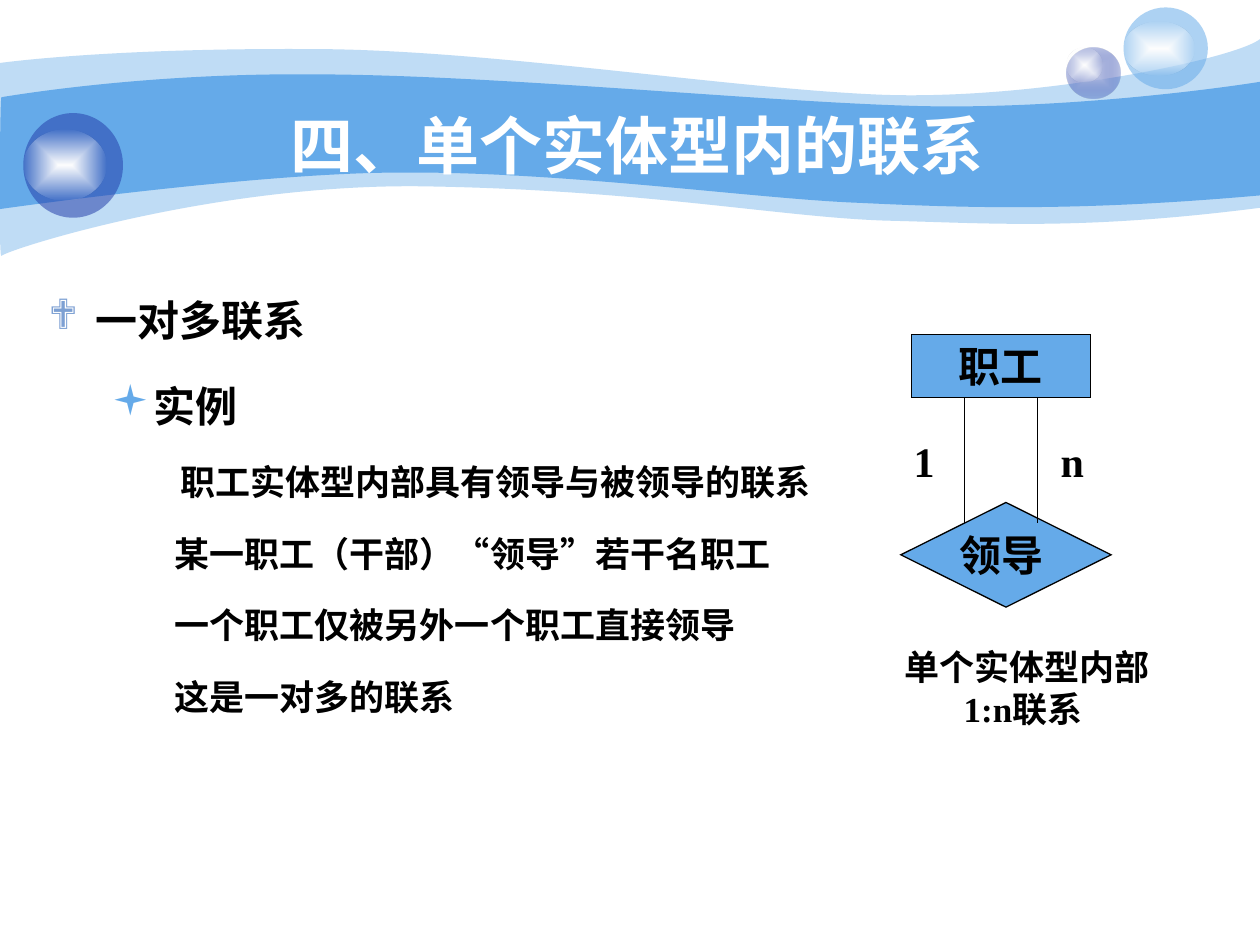
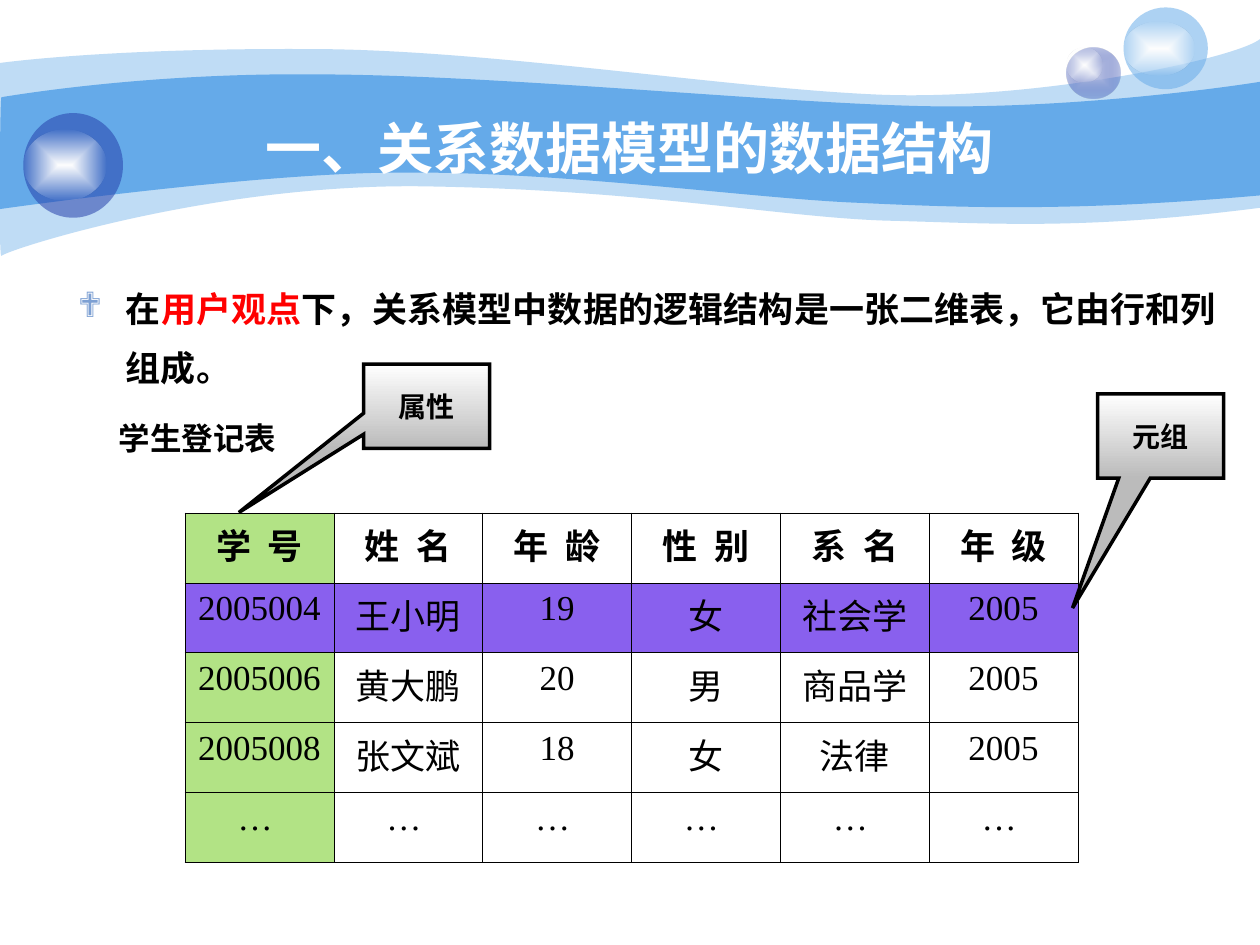
from dataclasses import dataclass
from typing import Any, NamedTuple

from lxml import etree
from pptx import Presentation
from pptx.dml.color import RGBColor
from pptx.enum.shapes import MSO_CONNECTOR, MSO_SHAPE
from pptx.enum.text import MSO_ANCHOR, PP_ALIGN
from pptx.oxml.ns import qn
from pptx.util import Cm, Pt

CENTER, LEFT, JUSTIFY = PP_ALIGN.CENTER, PP_ALIGN.LEFT, PP_ALIGN.JUSTIFY
TOP, MIDDLE = MSO_ANCHOR.TOP, MSO_ANCHOR.MIDDLE
RECTANGLE, DIAMOND = MSO_SHAPE.RECTANGLE, MSO_SHAPE.DIAMOND
OVAL, CALLOUT = MSO_SHAPE.OVAL, MSO_SHAPE.RECTANGULAR_CALLOUT
STRAIGHT = MSO_CONNECTOR.STRAIGHT

SKY, NAVY, LAVENDER, STEEL = "65AAE9", "233DA9", "C7CEE9", "7DA0D3"
GREEN, VIOLET, RED, GREY = "B2E385", "8960EE", "FF0000", "BBBBBB"
BLACK, WHITE = "000000", "FFFFFF"
SANS, SERIF, SYMBOLS = "Arial", "Times New Roman", "Wingdings"

Point = tuple[float, float]


class Box(NamedTuple):
    """Left, top, width and height in centimetres."""
    left: float
    top: float
    width: float
    height: float

    def lengths(self) -> list[Cm]:
        return [Cm(value) for value in self]


class Stop(NamedTuple):
    position: int
    color: str
    opacity: int = 100


@dataclass(frozen=True)
class Run:
    text: str
    size: float
    font: str = SERIF
    color: str = BLACK
    bold: bool = True
    tracking: float = 0


@dataclass(frozen=True)
class Para:
    runs: tuple[Run, ...]
    align: Any = CENTER
    line_spacing: float | None = None
    before: float = 0
    margin: float = 0
    indent: float = 0
    bullet: str = ""
    bullet_color: str = BLACK


@dataclass(frozen=True)
class Orb:
    body: Box
    shine: Box
    stops: tuple[Stop, ...]


# Each segment is either one end point or two control points and an end point.
OUTER_WAVE = [
    [(0, 1.27)],
    [(0.61, 1.19), (2.72, 0.97), (6.27, 0.99)],
    [(9.8, 0.99), (14.6, 1.78), (17.75, 1.91)],
    [(20.88, 2.03), (24.89, 1.19), (25.4, 0.79)],
    [(25.4, 4.19)],
    [(21.79, 4.65), (19.99, 4.5), (17.91, 4.45)],
    [(15.8, 4.39), (13.08, 3.84), (8.71, 3.76)],
    [(4.37, 3.66), (0.1, 5.05), (0.03, 5.16)],
    [(-0.03, 5.28), (0, 1.91), (0, 1.27)],
]
INNER_WAVE = [
    [(0.03, 1.96)],
    [(0.05, 1.96), (2.79, 1.47), (6.3, 1.5)],
    [(9.8, 1.5), (15.11, 2.03), (18.24, 2.13)],
    [(21.36, 2.24), (24.79, 1.75), (25.4, 1.65)],
    [(25.4, 3.94)],
    [(21.67, 4.27), (19.43, 4.19), (17.32, 4.09)],
    [(15.21, 4.01), (11.35, 3.45), (8.05, 3.48)],
    [(5.16, 3.48), (-0.05, 4.22), (-0.03, 4.22)],
    [(0, 4.22), (0, 1.96), (0.03, 1.96)],
]
SHINE = (Stop(0, WHITE), Stop(100, WHITE, 0))
ORBS = [
    Orb(Box(21.51, 0.97, 1.07, 1.02), Box(21.51, 0.97, 0.71, 0.69),
        (Stop(0, LAVENDER), Stop(100, NAVY, 31))),
    Orb(Box(22.65, 0.15, 1.7, 1.65), Box(22.65, 0.43, 1.42, 1.09), (Stop(0, SKY, 53),)),
    Orb(Box(0.47, 2.28, 2.01, 2.11), Box(0.47, 2.62, 1.68, 1.42), (Stop(0, NAVY, 53),)),
]
TITLE_BOX = Box(2.58, 2.13, 20.52, 1.57)

STUDENTS = [
    ["学 号", "姓 名", "年 龄", "性 别", "系 名", "年 级"],
    ["2005004", "王小明", "19", "女", "社会学", "2005"],
    ["2005006", "黄大鹏", "20", "男", "商品学", "2005"],
    ["2005008", "张文斌", "18", "女", "法律", "2005"],
    ["… "] * 6,
]
COLUMN_WIDTH, ROW_HEIGHT = 3.0, 1.41


def rgb(color: str) -> RGBColor:
    return RGBColor.from_string(color)


def add_child(parent: Any, tag: str, **attributes: Any) -> Any:
    return etree.SubElement(parent, qn(tag), {k: str(v) for k, v in attributes.items()})


def add_color(parent: Any, color: str, opacity: int = 100) -> None:
    srgb = add_child(parent, "a:srgbClr", val=color)
    if opacity < 100:
        add_child(srgb, "a:alpha", val=opacity * 1000)


def paint(shape: Any, stops: tuple[Stop, ...], angle: int | None = None) -> None:
    """One stop is a plain fill; more are a gradient, from the centre if no angle is given."""
    shape.fill.background()
    properties = shape._element.spPr
    empty = properties.find(qn("a:noFill"))
    if len(stops) == 1:
        fill = etree.Element(qn("a:solidFill"))
        add_color(fill, stops[0].color, stops[0].opacity)
    else:
        fill = etree.Element(qn("a:gradFill"), rotWithShape="1")
        stop_list = add_child(fill, "a:gsLst")
        for stop in stops:
            mark = add_child(stop_list, "a:gs", pos=stop.position * 1000)
            add_color(mark, stop.color, stop.opacity)
        if angle is None:
            center = add_child(fill, "a:path", path="rect")
            add_child(center, "a:fillToRect", l=50000, t=50000, r=50000, b=50000)
        else:
            add_child(fill, "a:lin", ang=angle * 60000, scaled=1)
    properties.replace(empty, fill)


def outline(shape: Any, width: float) -> None:
    if width:
        shape.line.color.rgb = rgb(BLACK)
        shape.line.width = Pt(width)
        add_child(shape._element.spPr.find(qn("a:ln")), "a:miter", lim=800000)
    else:
        shape.line.fill.background()


def fill_paragraph(paragraph: Any, content: Para) -> None:
    properties = paragraph._p.get_or_add_pPr()
    if content.margin:
        properties.set("marL", str(Cm(content.margin)))
        properties.set("indent", str(Cm(content.indent)))
    if content.bullet:
        add_color(add_child(properties, "a:buClr"), content.bullet_color)
        add_child(properties, "a:buFont", typeface=SYMBOLS)
        add_child(properties, "a:buChar", char=content.bullet)
    layout = {"alignment": content.align, "line_spacing": content.line_spacing,
              "space_before": Pt(content.before)}
    for key, value in layout.items():
        setattr(paragraph, key, value)
    for part in content.runs:
        run = paragraph.add_run()
        run.text = part.text
        look = {"size": Pt(part.size), "name": part.font, "bold": part.bold}
        for key, value in look.items():
            setattr(run.font, key, value)
        run.font.color.rgb = rgb(part.color)
        if part.tracking:
            run._r.get_or_add_rPr().set("spc", str(int(part.tracking * 100)))


def write(frame: Any, paragraphs: list[Para], anchor: Any = TOP, wrap: bool = True) -> None:
    frame.word_wrap = wrap
    frame.vertical_anchor = anchor
    for index, content in enumerate(paragraphs):
        fill_paragraph(frame.add_paragraph() if index else frame.paragraphs[0], content)


def add_text(slide: Any, box: Box, paragraphs: list[Para], anchor: Any = TOP,
             wrap: bool = True) -> None:
    write(slide.shapes.add_textbox(*box.lengths()).text_frame, paragraphs, anchor, wrap)


def add_figure(slide: Any, kind: Any, box: Box, stops: tuple[Stop, ...],
               line_width: float = 0, angle: int | None = None) -> Any:
    figure = slide.shapes.add_shape(kind, *box.lengths())
    figure.shadow.inherit = False
    paint(figure, stops, angle)
    outline(figure, line_width)
    return figure


def add_wave(slide: Any, segments: list[list[Point]], opacity: int) -> None:
    """Lay a line through every point, then turn each run of three into one curve."""
    vertices = [(Cm(x), Cm(y)) for segment in segments for x, y in segment]
    builder = slide.shapes.build_freeform(*vertices[0])
    builder.add_line_segments(vertices[1:], close=True)
    wave = builder.convert_to_shape()
    lines = iter(list(wave._element.iter(qn("a:lnTo"))))
    for segment in segments[1:]:
        steps = [next(lines) for _ in segment]
        if len(steps) == 3:
            curve = etree.Element(qn("a:cubicBezTo"))
            steps[0].addprevious(curve)
            for step in steps:
                curve.append(step[0])
                step.getparent().remove(step)
    wave.shadow.inherit = False
    paint(wave, (Stop(0, SKY, opacity),))
    outline(wave, 0)


def add_titled_slide(deck: Any, title: tuple[Run, ...]) -> Any:
    slide = deck.slides.add_slide(deck.slide_layouts[6])
    add_wave(slide, OUTER_WAVE, 41)
    add_wave(slide, INNER_WAVE, 100)
    for orb in ORBS:
        add_figure(slide, OVAL, orb.body, orb.stops)
        add_figure(slide, OVAL, orb.shine, SHINE)
    add_text(slide, TITLE_BOX, [Para(title)], MIDDLE)
    return slide


def add_relation_diagram(slide: Any) -> None:
    entity = add_figure(slide, RECTANGLE, Box(18.37, 6.74, 3.61, 1.27), (Stop(0, SKY),), 0.75)
    write(entity.text_frame, [Para((Run("职工", 24),))])
    relation = add_figure(slide, DIAMOND, Box(18.16, 10.13, 4.24, 2.11), (Stop(0, SKY),), 0.75)
    write(relation.text_frame, [Para((Run("领导 ", 24),))], MIDDLE, wrap=False)
    for link_x, label_x, label in [(19.44, 18.17, "1"), (20.92, 21.13, "n")]:
        link = slide.shapes.add_connector(STRAIGHT, Cm(link_x), Cm(8.01), Cm(link_x), Cm(10.55))
        outline(link, 0.75)
        add_child(link._element.spPr, "a:effectLst")
        add_text(slide, Box(label_x, 8.65, 1.07, 1.27), [Para((Run(label, 24),), LEFT)])
    add_text(slide, Box(17.53, 12.88, 6.35, 1.96), [Para((Run("单个实体型内部1:n联系 ", 20),))])


def add_student_table(slide: Any) -> None:
    row_count, column_count = len(STUDENTS), len(STUDENTS[0])
    box = Box(3.73, 10.34, COLUMN_WIDTH * column_count, ROW_HEIGHT * row_count)
    table = slide.shapes.add_table(row_count, column_count, *box.lengths()).table
    table.first_row = table.horz_banding = False
    for r, record in enumerate(STUDENTS):
        for c, value in enumerate(record):
            cell = table.cell(r, c)
            header = r == 0
            run = Run(value, 20, bold=header, tracking=2.5 if header else 0)
            fill_paragraph(cell.text_frame.paragraphs[0], Para((run,)))
            properties = cell._tc.get_or_add_tcPr()
            for side in ("a:lnL", "a:lnR", "a:lnT", "a:lnB"):
                border = add_child(properties, side, w=Pt(0.45))
                add_color(add_child(border, "a:solidFill"), BLACK)
            if r == 1 or c == 0:
                cell.fill.solid()
                cell.fill.fore_color.rgb = rgb(VIOLET if r == 1 else GREEN)
            else:
                cell.fill.background()


def build_relation_slide(deck: Any) -> None:
    slide = add_titled_slide(deck, (Run("四、单个实体型内的联系", 36, SANS, WHITE),))
    topic = Para((Run("一对多联系", 24, SANS),), LEFT, 1.5, 0, 0.95, -0.95, "❖", STEEL)
    example = Para((Run("实例", 24, SANS),), LEFT, 1.5, 6, 2.06, -0.79, "▪", SKY)
    details = [("职工实体型内部具有领导与被领导的联系", -0.53),
               ("某一职工（干部）“领导”若干名职工", -0.64),
               ("一个职工仅被另外一个职工直接领导", -0.64),
               ("这是一对多的联系", -0.64)]
    add_text(slide, Box(0.73, 5.3, 16.46, 12.07), [topic, example] + [
        Para((Run(text, 20, SANS),), LEFT, 1.5, 5, 3.18, indent) for text, indent in details])
    add_relation_diagram(slide)


def build_structure_slide(deck: Any) -> None:
    slide = add_titled_slide(deck, (Run("一、关系数据模型的数据结构", 32, SANS, WHITE),
                                    Run(" ", 36, SANS, WHITE)))
    statement = (Run("在", 20, SANS), Run("用户观点", 20, SANS, RED),
                 Run("下，关系模型中数据的逻辑结构是一张二维表，它由行和列组成。", 20, SANS))
    add_text(slide, Box(1.32, 5.34, 23.44, 2.79),
             [Para(statement, JUSTIFY, 1.4, 0, 0.97, -0.97, "❖", STEEL)])
    add_student_table(slide)
    add_text(slide, Box(1.19, 8.33, 5.59, 1.02), [Para((Run("学生登记表", 18),))], wrap=False)
    for term, left, top, tip in [("属性", 7.33, 7.34, (-1.49, 1.26)),
                                 ("元组", 22.13, 7.94, (-0.7, 2.04))]:
        callout = add_figure(slide, CALLOUT, Box(left, top, 2.54, 1.7),
                             (Stop(0, WHITE), Stop(100, GREY)), 2, 90)
        for index, offset in enumerate(tip):
            callout.adjustments[index] = offset
        write(callout.text_frame, [Para((Run(term, 16),))], MIDDLE)


def main() -> None:
    deck = Presentation()
    deck.slide_width, deck.slide_height = Cm(25.4), Cm(19.05)
    build_relation_slide(deck)
    build_structure_slide(deck)
    deck.save("out.pptx")


if __name__ == "__main__":
    main()
